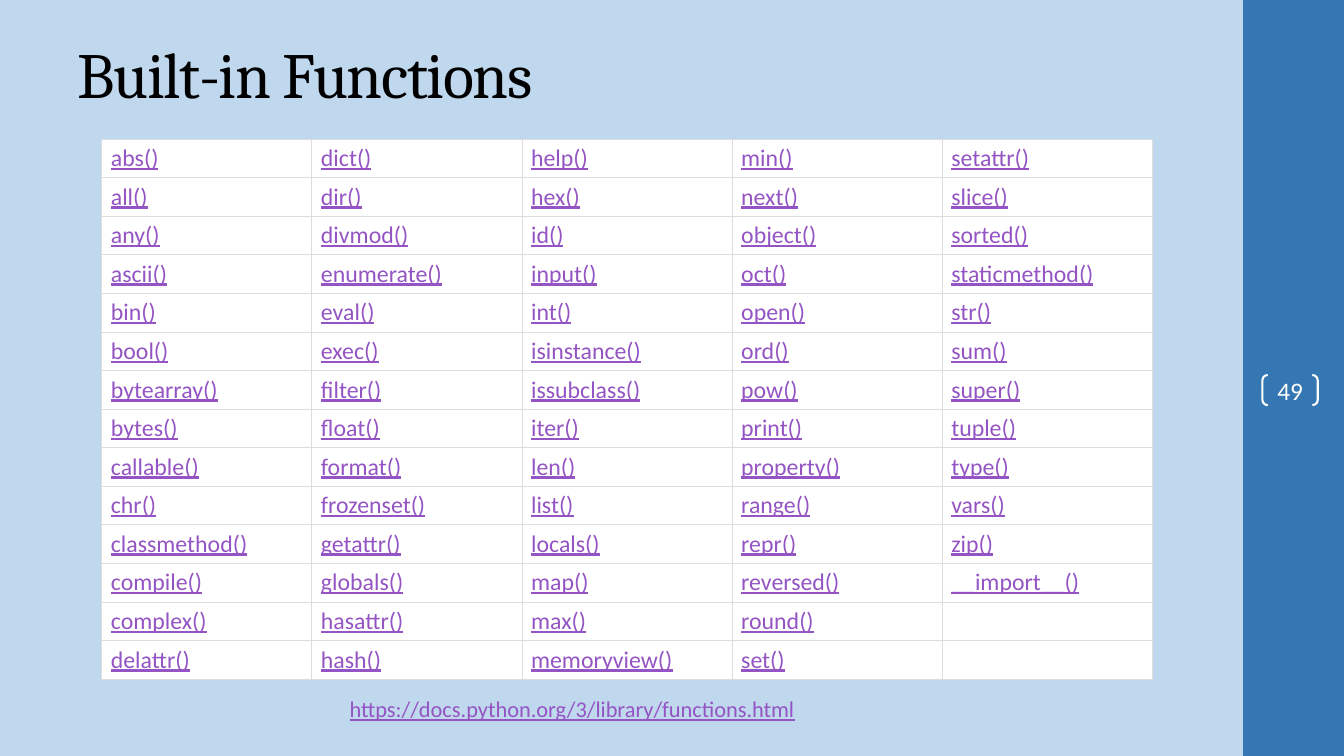
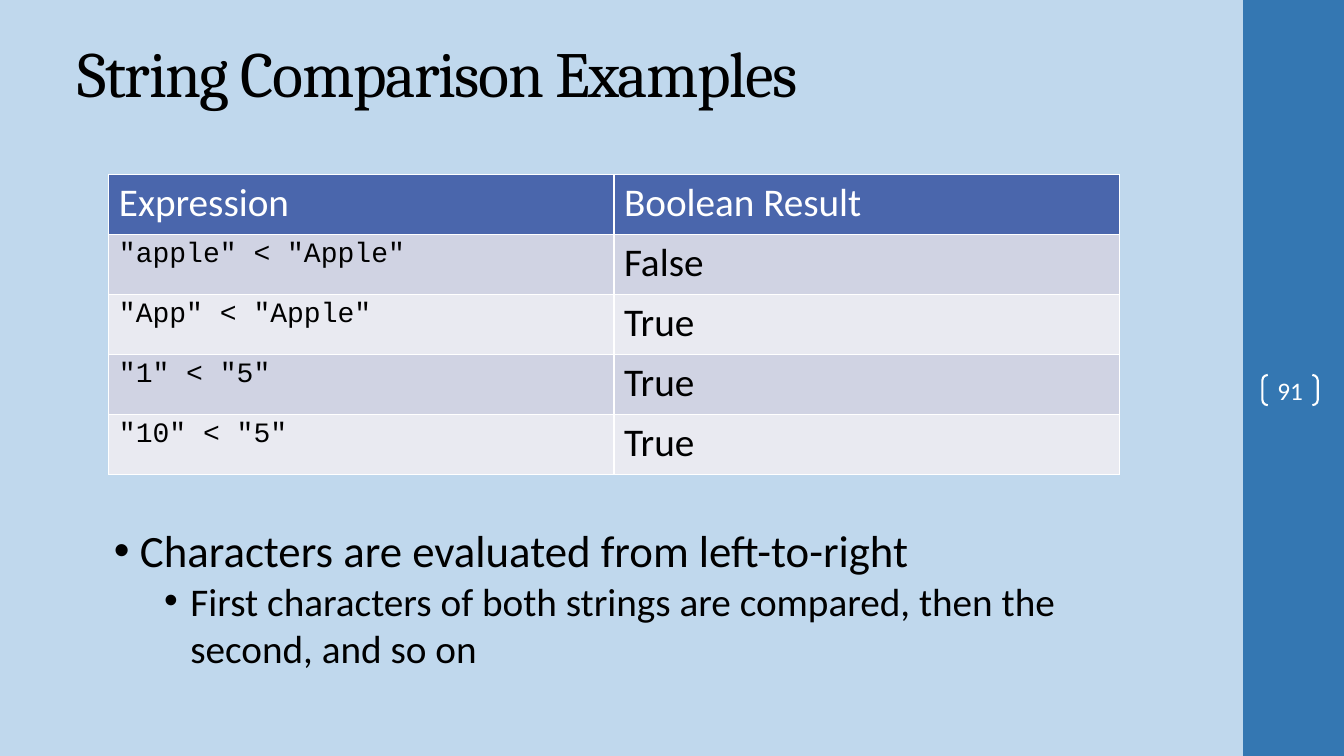
import pptx
import pptx.dml.color
import pptx.enum.shapes
import pptx.enum.text
import pptx.oxml
import pptx.oxml.ns
import pptx.util

Inches = pptx.util.Inches
Pt = pptx.util.Pt
MIDDLE = pptx.enum.text.MSO_ANCHOR.MIDDLE

COLOURS = {
    "background": "C0D8ED",
    "band": "3477B2",
    "white": "FFFFFF",
    "black": "000000",
    "link": "9454C3",
    "grid": "DDDDDD",
    "header": "4A66AC",
    "odd_row": "D0D3E3",
    "even_row": "E9EAF1",
}

FORMATS = {
    "title": {"name": "Cambria", "size": Pt(46), "color": "black"},
    "number": {"name": "Calibri", "size": Pt(18), "color": "white"},
    "function": {"name": "Calibri", "size": Pt(17), "color": "link", "underline": True},
    "address": {"name": "Calibri", "size": Pt(16), "color": "link", "underline": True},
    "header": {"name": "Calibri", "size": Pt(28), "color": "white"},
    "expression": {"name": "Courier New", "size": Pt(20), "color": "black"},
    "result": {"name": "Calibri", "size": Pt(28), "color": "black"},
    "point": {"name": "Calibri", "size": Pt(32), "color": "black"},
    "detail": {"name": "Calibri", "size": Pt(28), "color": "black"},
}

FUNCTION_COLUMNS = [
    "abs all any ascii bin bool bytearray bytes callable chr classmethod compile complex delattr",
    "dict dir divmod enumerate eval exec filter float format frozenset getattr globals hasattr hash",
    "help hex id input int isinstance issubclass iter len list locals map max memoryview",
    "min next object oct open ord pow print property range repr reversed round set",
    "setattr slice sorted staticmethod str sum super tuple type vars zip __import__",
]

COMPARISONS = [
    ("Expression", "Boolean Result"),
    ('"apple" < "Apple"', "False"),
    ('"App" < "Apple"', "True"),
    ('"1" < "5"', "True"),
    ('"10" < "5"', "True"),
]

POINTS = [
    ("Characters are evaluated from left-to-right", "point", 0, 0.26),
    ("First characters of both strings are compared, then the second, and so on", "detail", 1, 0.76),
]


def rgb(colour):
    """Return the named colour."""
    return pptx.dml.color.RGBColor.from_string(COLOURS[colour])


def inches(box):
    """Turn the numbers of a box into lengths."""
    return [Inches(length) for length in box]


def set_attributes(target, values):
    """Set each value as an attribute of the target."""
    for attribute, value in values.items():
        setattr(target, attribute, value)


def write(paragraph, text, style):
    """Add text to a paragraph in a named format and return the run."""
    run = paragraph.add_run()
    run.text = text
    values = dict(FORMATS[style])
    run.font.color.rgb = rgb(values.pop("color"))
    set_attributes(run.font, values)
    return run


def add_child(parent, tag, **attributes):
    """Append a drawing element with attributes."""
    child = pptx.oxml.parse_xml(f"<a:{tag} {pptx.oxml.ns.nsdecls('a')}/>")
    for attribute, value in attributes.items():
        child.set(attribute, str(value))
    parent.append(child)
    return child


def format_cell(cell, fill, border, width):
    """Give a cell its four borders and its fill."""
    properties = cell._tc.get_or_add_tcPr()
    for side in "LRTB":
        line = add_child(properties, f"ln{side}", w=Pt(width))
        add_child(add_child(line, "solidFill"), "srgbClr", val=COLOURS[border])
    cell.fill.solid()
    cell.fill.fore_color.rgb = rgb(fill)


def add_grid(slide, box, rows, columns):
    """Add a table without style bands, its rows and columns equal in the box."""
    table = slide.shapes.add_table(rows, columns, *inches(box)).table
    set_attributes(table, {"first_row": False, "horz_banding": False})
    for row in table.rows:
        row.height = Inches(box[3] / rows)
    for column in table.columns:
        column.width = Inches(box[2] / columns)
    return table


def add_title(slide, box, text):
    """Place and format the title."""
    title = slide.shapes.title
    set_attributes(title, dict(zip(("left", "top", "width", "height"), inches(box))))
    set_attributes(title.text_frame, {
        "vertical_anchor": MIDDLE,
        "word_wrap": True,
        "auto_size": pptx.enum.text.MSO_AUTO_SIZE.NONE,
    })
    paragraph = title.text_frame.paragraphs[0]
    paragraph.alignment = pptx.enum.text.PP_ALIGN.LEFT
    run = write(paragraph, text, "title")
    run.font._element.set("spc", "-100")


def add_band(slide, box, number):
    """Draw the side band with the bracketed slide number."""
    left, top, width, height = box
    band = slide.shapes.add_shape(pptx.enum.shapes.MSO_SHAPE.RECTANGLE, *inches(box))
    band.shadow.inherit = False
    band.fill.solid()
    band.fill.fore_color.rgb = rgb("band")
    band.line.fill.background()

    brackets = slide.shapes.add_shape(
        pptx.enum.shapes.MSO_SHAPE.DOUBLE_BRACKET,
        *inches((left + 0.19, top + 3.72, 0.55, 0.3)))
    brackets.shadow.inherit = False
    brackets.adjustments[0] = 0.18
    brackets.fill.background()
    brackets.line.color.rgb = rgb("white")
    brackets.line.width = Pt(1.5)
    set_attributes(brackets.text_frame, {
        "margin_left": 0, "margin_right": 0, "margin_top": 0, "margin_bottom": 0,
        "vertical_anchor": MIDDLE, "word_wrap": False,
    })
    paragraph = brackets.text_frame.paragraphs[0]
    paragraph.alignment = pptx.enum.text.PP_ALIGN.CENTER
    write(paragraph, number, "number")


def add_functions(slide, box):
    """Add the table of functions, filled column by column."""
    columns = [names.split() for names in FUNCTION_COLUMNS]
    count = max(map(len, columns))
    table = add_grid(slide, box, count, len(columns))
    for column, names in enumerate(columns):
        for row in range(count):
            cell = table.cell(row, column)
            format_cell(cell, "white", "grid", 0.75)
            set_attributes(cell, {
                "vertical_anchor": MIDDLE,
                "margin_left": Inches(0.09), "margin_right": Inches(0.09),
                "margin_top": Inches(0.03), "margin_bottom": Inches(0.03),
            })
            if row < len(names):
                write(cell.text_frame.paragraphs[0], f"{names[row]}()", "function")


def add_address(slide, box, address):
    """Add the web address of the documentation."""
    frame = slide.shapes.add_textbox(*inches(box)).text_frame
    frame.word_wrap = True
    write(frame.paragraphs[0], address, "address")


def add_comparisons(slide, box):
    """Add the table of expressions and results."""
    table = add_grid(slide, box, len(COMPARISONS), 2)
    for row, texts in enumerate(COMPARISONS):
        fill = "header" if row == 0 else ("even_row", "odd_row")[row % 2]
        styles = ("header", "header") if row == 0 else ("expression", "result")
        for column, (text, style) in enumerate(zip(texts, styles)):
            cell = table.cell(row, column)
            format_cell(cell, fill, "white", 1)
            write(cell.text_frame.paragraphs[0], text, style)


def add_points(slide, box):
    """Add the bulleted explanation."""
    frame = slide.shapes.add_textbox(*inches(box)).text_frame
    frame.word_wrap = True
    for index, (text, style, level, indent) in enumerate(POINTS):
        paragraph = frame.add_paragraph() if index else frame.paragraphs[0]
        paragraph.level = level
        properties = paragraph._p.get_or_add_pPr()
        properties.set("marL", str(Inches(indent)))
        properties.set("indent", str(Inches(-0.26)))
        add_child(properties, "buFont", typeface="Arial")
        add_child(properties, "buChar", char="•")
        write(paragraph, text, style)


def add_slide(deck, title, title_box, number):
    """Add a slide with the shared title and side band."""
    slide = deck.slides.add_slide(deck.slide_layouts[5])
    add_band(slide, (12.33, 0, 1, 7.5), number)
    add_title(slide, title_box, title)
    return slide


def main():
    """Build and save the presentation."""
    deck = pptx.Presentation()
    set_attributes(deck, {"slide_width": Inches(13.33), "slide_height": Inches(7.5)})
    background = deck.slide_master.background.fill
    background.solid()
    background.fore_color.rgb = rgb("background")

    functions = add_slide(deck, "Built-in Functions", (0.67, 0.22, 11.11, 1.01), "49")
    add_functions(functions, (1.01, 1.38, 10.42, 5.36))
    add_address(functions, (3.37, 6.85, 4.89, 0.37),
                "https://docs.python.org/3/library/functions.html")

    comparisons = add_slide(deck, "String Comparison Examples", (0.67, 0.25, 11.11, 0.92), "91")
    add_comparisons(comparisons, (1.08, 1.73, 10.02, 2.98))
    add_points(comparisons, (1.03, 5.14, 10.08, 1.58))

    deck.save("out.pptx")


if __name__ == "__main__":
    main()
